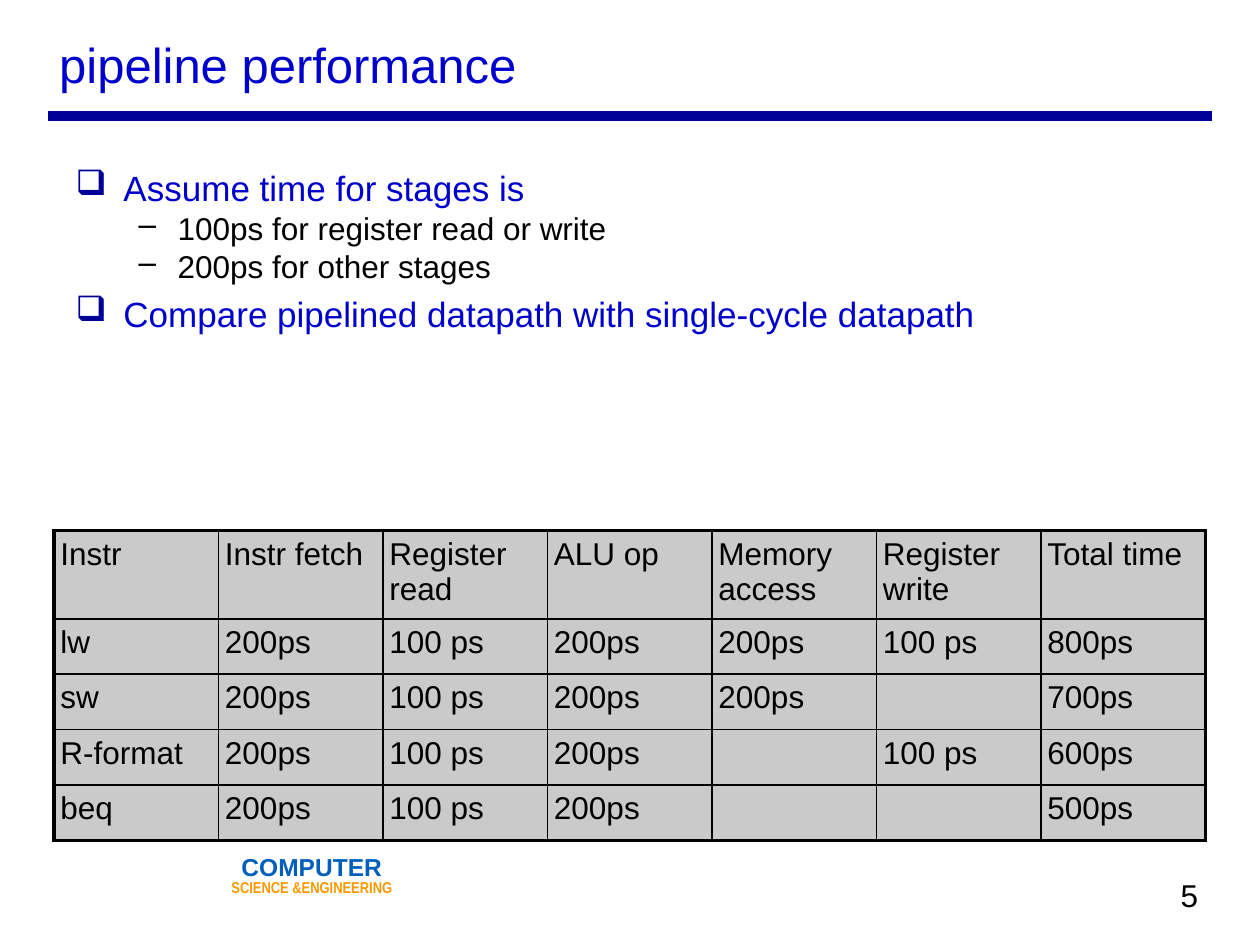
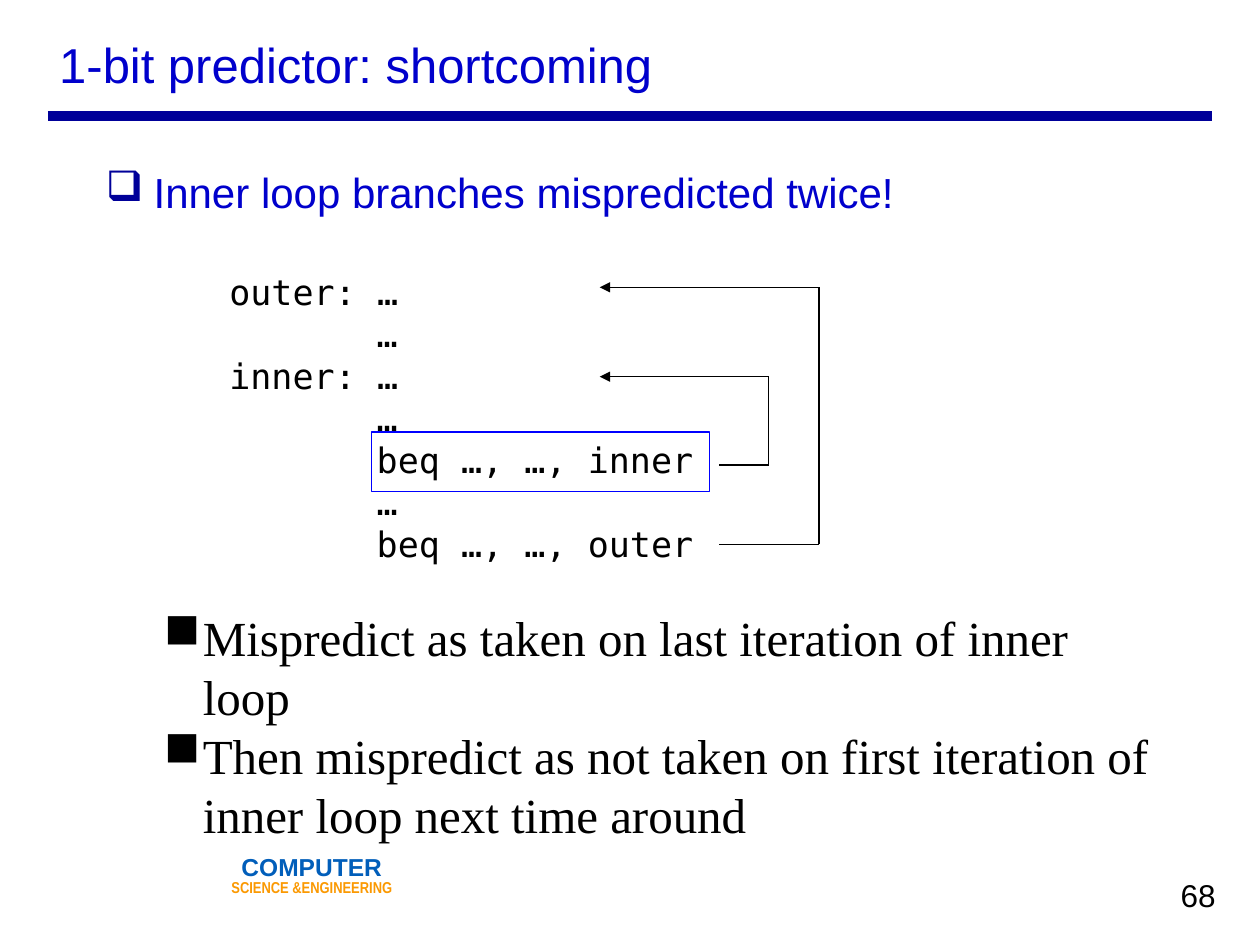
from lxml import etree
from pptx import Presentation
from pptx.dml.color import RGBColor
from pptx.enum.shapes import MSO_CONNECTOR, MSO_SHAPE
from pptx.enum.text import MSO_ANCHOR, MSO_AUTO_SIZE, PP_ALIGN
from pptx.oxml.ns import qn
from pptx.util import Inches, Pt

NAVY = RGBColor(0x00, 0x00, 0x99)
BLUE = RGBColor(0x00, 0x00, 0xCC)
BRIGHT = RGBColor(0x00, 0x00, 0xFF)
BLACK = RGBColor(0x00, 0x00, 0x00)
WHITE = RGBColor(0xFF, 0xFF, 0xFF)
GREY = RGBColor(0xCA, 0xCA, 0xCA)
SKY = RGBColor(0x01, 0x5E, 0xBA)
ORANGE = RGBColor(0xFB, 0x99, 0x02)

STRAIGHT, RECT = MSO_CONNECTOR.STRAIGHT, MSO_SHAPE.RECTANGLE
TOP, MIDDLE = MSO_ANCHOR.TOP, MSO_ANCHOR.MIDDLE
LEFT, CENTER = PP_ALIGN.LEFT, PP_ALIGN.CENTER
NO_FIT = MSO_AUTO_SIZE.NONE

COLS, ROWS = 100, 75
PAD = 0.5
TITLE_ONLY = 5

TITLE = dict(size=28, name="Arial", color=BLUE)
PLAIN = dict(size=18, name="Arial", color=BLACK)
POINT = dict(size=20, name="Arial", color=BLUE)
LEAD = dict(POINT, size=24)
CODE = dict(size=20, name="DejaVu Sans Mono", color=BLACK)
NOTE = dict(size=28, name="Times New Roman", color=BLACK)
DEPARTMENT = dict(size=14, name="Arial", color=SKY, bold=True)
FACULTY = dict(size=9, name="Arial Narrow", color=ORANGE, bold=True)

BOX = dict(indent=(3.8, -3.8), bullet=("❑", NAVY))
DASH = dict(indent=(8.1, -3.1), bullet=("–", BLACK), line_spacing=Pt(22))
SQUARE = dict(indent=(8.1, -3.1), bullet=("■", BLACK), line_spacing=Pt(33.7))
LABEL = dict(line_spacing=Pt(24))
STATEMENT = dict(LABEL, indent=(11.7, 0))


class Deck:
    def __init__(self):
        self.prs = Presentation()
        self.prs.slide_width, self.prs.slide_height = Inches(10), Inches(7.5)
        self.s = None

    def x(self, cols):
        return int(self.prs.slide_width * cols / COLS)

    def y(self, rows):
        return int(self.prs.slide_height * rows / ROWS)

    def place(self, at):
        left, top, width, height = at
        return self.x(left), self.y(top), self.x(width), self.y(height)

    def slide(self, title, number):
        self.s = self.prs.slides.add_slide(self.prs.slide_layouts[TITLE_ONLY])
        self.line((3.8, 9.2), (96.2, 9.2), NAVY, 6)
        sp = self.rect((17.6, 68.6, 14.3, 3.5), WHITE, 3, WHITE)
        half = dict(alignment=CENTER, line_spacing=0.5)
        self.fill_text(sp.text_frame, [
            ("COMPUTER", DEPARTMENT, half),
            ("SCIENCE &ENGINEERING", FACULTY, dict(half, space_before=Pt(4)))],
            pad=0)
        self.text((93.2, 69, 4, 4), [(number, PLAIN, {})], wrap=False)
        sp = self.s.shapes.title
        sp.left, sp.top, sp.width, sp.height = self.place((4.2, 1.7, 83.3, 6.7))
        self.fill_text(sp.text_frame, [(title, TITLE, {})], anchor=MIDDLE)

    def font(self, font, look):
        values = dict(look, size=Pt(look["size"]))
        font.color.rgb = values.pop("color")
        for key, value in values.items():
            setattr(font, key, value)

    def paragraph(self, p, text, look, layout):
        values = dict(alignment=LEFT) | layout
        margin, first = values.pop("indent", (0, 0))
        bullet = values.pop("bullet", None)
        for key, value in values.items():
            setattr(p, key, value)
        pPr = p._p.get_or_add_pPr()
        pPr.set("marL", str(self.x(margin)))
        pPr.set("indent", str(self.x(first)))
        if bullet:
            char, color = bullet
            clr = etree.SubElement(pPr, qn("a:buClr"))
            etree.SubElement(clr, qn("a:srgbClr"), val=str(color))
            etree.SubElement(pPr, qn("a:buChar"), char=char)
        r = p.add_run()
        r.text = text
        self.font(r.font, look)

    def fill_text(self, tf, lines, pad=PAD, anchor=TOP, wrap=True):
        values = dict(word_wrap=wrap, auto_size=NO_FIT, vertical_anchor=anchor)
        for side in ("left", "right", "top", "bottom"):
            values[f"margin_{side}"] = self.x(pad)
        for key, value in values.items():
            setattr(tf, key, value)
        for i, line in enumerate(lines):
            p = tf.add_paragraph() if i else tf.paragraphs[0]
            self.paragraph(p, *line)

    def text(self, at, lines, wrap=True):
        sp = self.s.shapes.add_textbox(*self.place(at))
        self.fill_text(sp.text_frame, lines, wrap=wrap)

    def rect(self, at, color, weight, fill=None):
        sp = self.s.shapes.add_shape(RECT, *self.place(at))
        sp.shadow.inherit = False
        if fill is None:
            sp.fill.background()
        else:
            sp.fill.solid()
            sp.fill.fore_color.rgb = fill
        sp.line.color.rgb = color
        sp.line.width = Pt(weight)
        return sp

    def line(self, start, end, color=BLACK, weight=0.75, arrow=False):
        cn = self.s.shapes.add_connector(
            STRAIGHT, self.x(start[0]), self.y(start[1]),
            self.x(end[0]), self.y(end[1]))
        cn.line.color.rgb = color
        cn.line.width = Pt(weight)
        if arrow:
            etree.SubElement(cn.line._get_or_add_ln(), qn("a:tailEnd"),
                             type="triangle")
        etree.SubElement(cn._element.spPr, qn("a:effectLst"))

    def route(self, points):
        for i, (start, end) in enumerate(zip(points, points[1:])):
            self.line(start, end, arrow=i == len(points) - 2)

    def borders(self, cell, weights):
        tcPr = cell._tc.get_or_add_tcPr()
        for side, weight in zip("LRTB", weights):
            ln = etree.SubElement(tcPr, qn(f"a:ln{side}"), w=str(Pt(weight)))
            fill = etree.SubElement(ln, qn("a:solidFill"))
            etree.SubElement(fill, qn("a:srgbClr"), val=str(BLACK))

    def table(self, at, heights, data):
        n_rows, n_cols = len(data), len(data[0])
        tbl = self.s.shapes.add_table(n_rows, n_cols, *self.place(at)).table
        tbl.first_row = tbl.horz_banding = False
        row_lines = [2.25, 1.5] + [1] * (n_rows - 2) + [2.25]
        col_lines = [2.25] + [1] * (n_cols - 1) + [2.25]
        for col in tbl.columns:
            col.width = self.x(at[2] / n_cols)
        for i, values in enumerate(data):
            tbl.rows[i].height = self.y(heights[i])
            for j, value in enumerate(values):
                cell = tbl.cell(i, j)
                self.borders(cell, col_lines[j:j + 2] + row_lines[i:i + 2])
                cell.fill.solid()
                cell.fill.fore_color.rgb = GREY
                for side in ("left", "right", "top", "bottom"):
                    setattr(cell, f"margin_{side}", self.x(PAD))
                if value:
                    self.paragraph(cell.text_frame.paragraphs[0], value, PLAIN, {})


def performance(deck):
    deck.slide("pipeline performance", "5")
    deck.text((5.5, 12.7, 87.7, 25), [
        ("Assume time for stages is", POINT, BOX),
        ("100ps for register read or write", PLAIN, DASH),
        ("200ps for other stages", PLAIN, DASH),
        ("Compare pipelined datapath with single-cycle datapath", POINT,
         dict(BOX, space_before=Pt(4)))])
    deck.table((4.3, 42.1, 91.4, 24.6), [7] + [4.4] * 4, [
        ["Instr", "Instr fetch", "Register read", "ALU op", "Memory access",
         "Register write", "Total time"],
        ["lw", "200ps", "100 ps", "200ps", "200ps", "100 ps", "800ps"],
        ["sw", "200ps", "100 ps", "200ps", "200ps", "", "700ps"],
        ["R-format", "200ps", "100 ps", "200ps", "", "100 ps", "600ps"],
        ["beq", "200ps", "100 ps", "200ps", "", "", "500ps"]])


def predictor(deck):
    deck.slide("1-bit predictor: shortcoming", "68")
    deck.text((17.7, 21, 42, 24.4), [
        ("outer: …", CODE, LABEL),
        ("…", CODE, STATEMENT),
        ("inner: …", CODE, LABEL),
        ("…", CODE, STATEMENT),
        ("beq …, …, inner", CODE, STATEMENT),
        ("…", CODE, STATEMENT),
        ("beq …, …, outer", CODE, STATEMENT)])
    deck.rect((29.5, 34.3, 26.8, 4.7), BRIGHT, 0.75)
    deck.text((7.9, 12.7, 89.7, 7.1), [
        ("Inner loop branches mispredicted twice!", LEAD, BOX)])
    for branch, turn, target in ((36.9, 61, 29.9), (43.2, 65, 22.8)):
        deck.route([(57.1, branch), (turn, branch), (turn, target),
                    (47.6, target)])
    deck.text((7.5, 47.7, 85, 18.6), [
        ("Mispredict as taken on last iteration of inner loop", NOTE, SQUARE),
        ("Then mispredict as not taken on first iteration of inner loop "
         "next time around", NOTE, SQUARE)])


def main():
    deck = Deck()
    performance(deck)
    predictor(deck)
    deck.prs.save("out.pptx")


if __name__ == "__main__":
    main()
